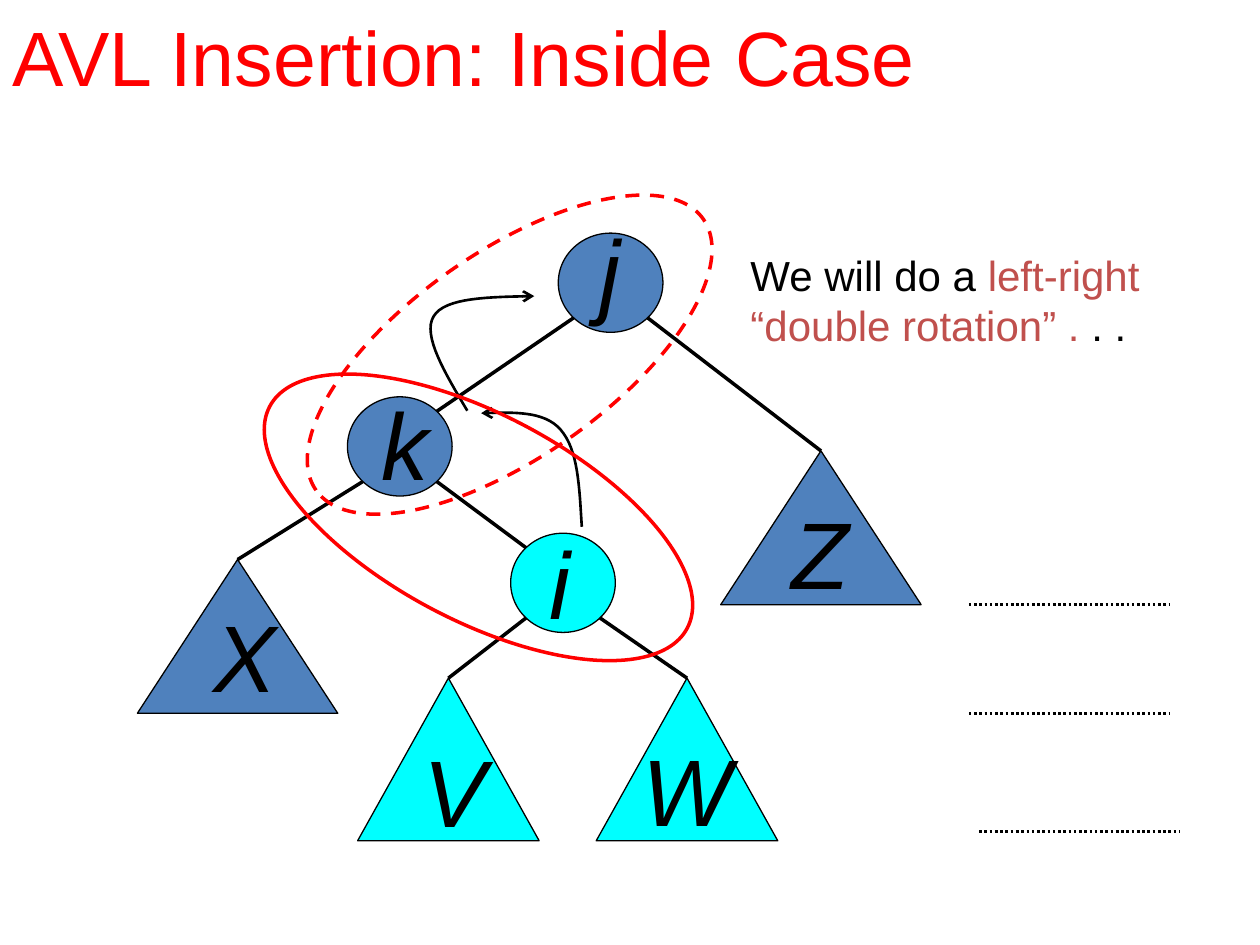
from math import sqrt

from lxml.etree import SubElement
from pptx import Presentation
from pptx.dml.color import RGBColor
from pptx.enum.dml import MSO_LINE
from pptx.enum.shapes import MSO_CONNECTOR, MSO_SHAPE
from pptx.enum.text import MSO_ANCHOR, MSO_AUTO_SIZE, PP_ALIGN
from pptx.oxml.ns import qn
from pptx.util import Cm, Pt

BLACK = RGBColor(0x00, 0x00, 0x00)
RED = RGBColor(0xFF, 0x00, 0x00)
BRICK = RGBColor(0xC0, 0x50, 0x4D)
BLUE = RGBColor(0x4F, 0x81, 0xBD)
CYAN = RGBColor(0x00, 0xFF, 0xFF)

# All lengths are in centimetres.
TITLE = "AVL Insertion: Inside Case"
REMARK = [
    [("We will do a ", BLACK), ("left-right", BRICK)],
    [("“double rotation” .", BRICK), (" . .", BLACK)],
]
NODE_SIZE = (2.11, 2.0)
WIDE, NARROW = (4.04, 3.1), (3.66, 3.28)
LETTER_SIZE = (1.3, 2.54)
# name: (centre, fill, corner of the letter box)
NODES = {
    "j": ((12.31, 5.7), BLUE, (11.84, 4.17)),
    "k": ((8.06, 9.0), BLUE, (7.44, 7.65)),
    "i": ((11.35, 11.75), CYAN, (10.82, 10.46)),
}
# name: (apex, size, fill, corner of the letter box)
SUBTREES = {
    "X": ((4.79, 11.28), WIDE, BLUE, (4.06, 11.94)),
    "Z": ((16.55, 9.09), WIDE, BLUE, (15.7, 9.86)),
    "V": ((9.04, 13.67), NARROW, CYAN, (8.28, 14.66)),
    "W": ((13.85, 13.67), NARROW, CYAN, (12.7, 14.63)),
}
EDGES = ["jk", "jZ", "kX", "ki", "iV", "iW"]
LEVEL_MARKS = [(19.53, 12.19), (19.53, 14.38), (19.74, 16.76)]
MARK_LENGTH = 4.04
# start point, then two control points and an end point for each curve
ROTATION_ARROWS = [
    [(11.73, 10.62), (11.68, 9.83), (11.66, 9.07), (11.3, 8.66),
     (10.97, 8.28), (10.34, 8.31), (9.7, 8.33)],
    [(9.42, 8.28), (8.97, 7.52), (8.51, 6.76), (8.74, 6.38),
     (8.97, 5.99), (9.88, 5.99), (10.77, 5.97)],
]
CURVE_STEPS = 16
RING_SIZE = (9.53, 4.14)
# corner, rotation, dash
RINGS = [((4.88, 8.36), 28, None), ((5.51, 5.08), 325, MSO_LINE.DASH)]

deck = Presentation()
deck.slide_width, deck.slide_height = Cm(25.4), Cm(19.05)
page = deck.slides.add_slide(deck.slide_layouts[6])


def add_text(lines, corner, size, points, italic=False, wrap=True,
             anchor=MSO_ANCHOR.TOP, fit=MSO_AUTO_SIZE.SHAPE_TO_FIT_TEXT):
    """Add a text box; each line is a list of (text, colour) spans."""
    box = page.shapes.add_textbox(*map(Cm, corner + size))
    frame = box.text_frame
    frame.word_wrap = wrap
    frame.auto_size = fit
    frame.vertical_anchor = anchor
    for number, spans in enumerate(lines):
        para = frame.add_paragraph() if number else frame.paragraphs[0]
        para.alignment = PP_ALIGN.LEFT
        for text, color in spans:
            span = para.add_run()
            span.text = text
            span.font.name = "Arial"
            span.font.size = Pt(points)
            span.font.italic = italic
            span.font.color.rgb = color


def style_line(line, color, width, dash=None):
    line.color.rgb = color
    line.width = Pt(width)
    if dash is not None:
        line.dash_style = dash


def add_outline_shape(kind, corner, size, fill=None, color=BLACK, width=0.75, dash=None):
    shape = page.shapes.add_shape(kind, *map(Cm, corner + size))
    shape.shadow.inherit = False
    if fill is None:
        shape.fill.background()
    else:
        shape.fill.solid()
        shape.fill.fore_color.rgb = fill
    style_line(shape.line, color, width, dash)
    return shape


def add_line(start, end, width, dash=None):
    line = page.shapes.add_connector(MSO_CONNECTOR.STRAIGHT, *map(Cm, start + end))
    SubElement(line._element.spPr, qn("a:effectLst"))
    style_line(line.line, BLACK, width, dash)
    return line


def rim_point(name, right, down):
    """Return the point of a node's rim halfway between two of its axes."""
    (x, y), (width, height) = NODES[name][0], NODE_SIZE
    return (x + right * width / 2 / sqrt(2), y + down * height / 2 / sqrt(2))


def curve_points(knots):
    """Sample a chain of cubic Bézier curves."""
    points = [knots[0]]
    for first in range(0, len(knots) - 1, 3):
        a, b, c, d = knots[first:first + 4]
        for step in range(1, CURVE_STEPS + 1):
            t = step / CURVE_STEPS
            weights = ((1 - t) ** 3, 3 * t * (1 - t) ** 2, 3 * t * t * (1 - t), t ** 3)
            points.append(tuple(sum(w * v for w, v in zip(weights, axis))
                                for axis in zip(a, b, c, d)))
    return points


def add_curved_arrow(knots):
    start, *rest = [(Cm(x), Cm(y)) for x, y in curve_points(knots)]
    builder = page.shapes.build_freeform(*start)
    builder.add_line_segments(rest, close=False)
    arrow = builder.convert_to_shape()
    arrow.shadow.inherit = False
    arrow.fill.background()
    style_line(arrow.line, BLACK, 1.5)
    SubElement(arrow.line._get_or_add_ln(), qn("a:tailEnd"), type="arrow")


for name, (center, fill, letter_corner) in NODES.items():
    corner = tuple(middle - length / 2 for middle, length in zip(center, NODE_SIZE))
    add_outline_shape(MSO_SHAPE.OVAL, corner, NODE_SIZE, fill)
    add_text([[(name, BLACK)]], letter_corner, LETTER_SIZE, 54, italic=True)

triangles = {}
for name, (apex, size, fill, letter_corner) in SUBTREES.items():
    corner = (apex[0] - size[0] / 2, apex[1])
    triangles[name] = add_outline_shape(MSO_SHAPE.ISOSCELES_TRIANGLE, corner, size, fill)
    add_text([[(name, BLACK)]], letter_corner, LETTER_SIZE, 54, italic=True)

for parent, child in EDGES:
    child_spot = (NODES.get(child) or SUBTREES[child])[0]
    side = 1 if child_spot[0] > NODES[parent][0][0] else -1
    end = rim_point(child, -side, -1) if child in NODES else child_spot
    edge = add_line(rim_point(parent, side, 1), end, 2)
    if child in triangles:
        edge.end_connect(triangles[child], 0)

for x, y in LEVEL_MARKS:
    add_line((x, y), (x + MARK_LENGTH, y), 1.5, MSO_LINE.ROUND_DOT)

add_text(REMARK, (14.88, 4.9), (8.59, 2.29), 24, wrap=False)
for knots in ROTATION_ARROWS:
    add_curved_arrow(knots)
for corner, rotation, dash in RINGS:
    ring = add_outline_shape(MSO_SHAPE.OVAL, corner, RING_SIZE, color=RED, width=2, dash=dash)
    ring.rotation = rotation
add_text([[(TITLE, RED)]], (0, 0), (21.72, 2.24), 44,
         anchor=MSO_ANCHOR.MIDDLE, fit=MSO_AUTO_SIZE.NONE)

deck.save("out.pptx")
